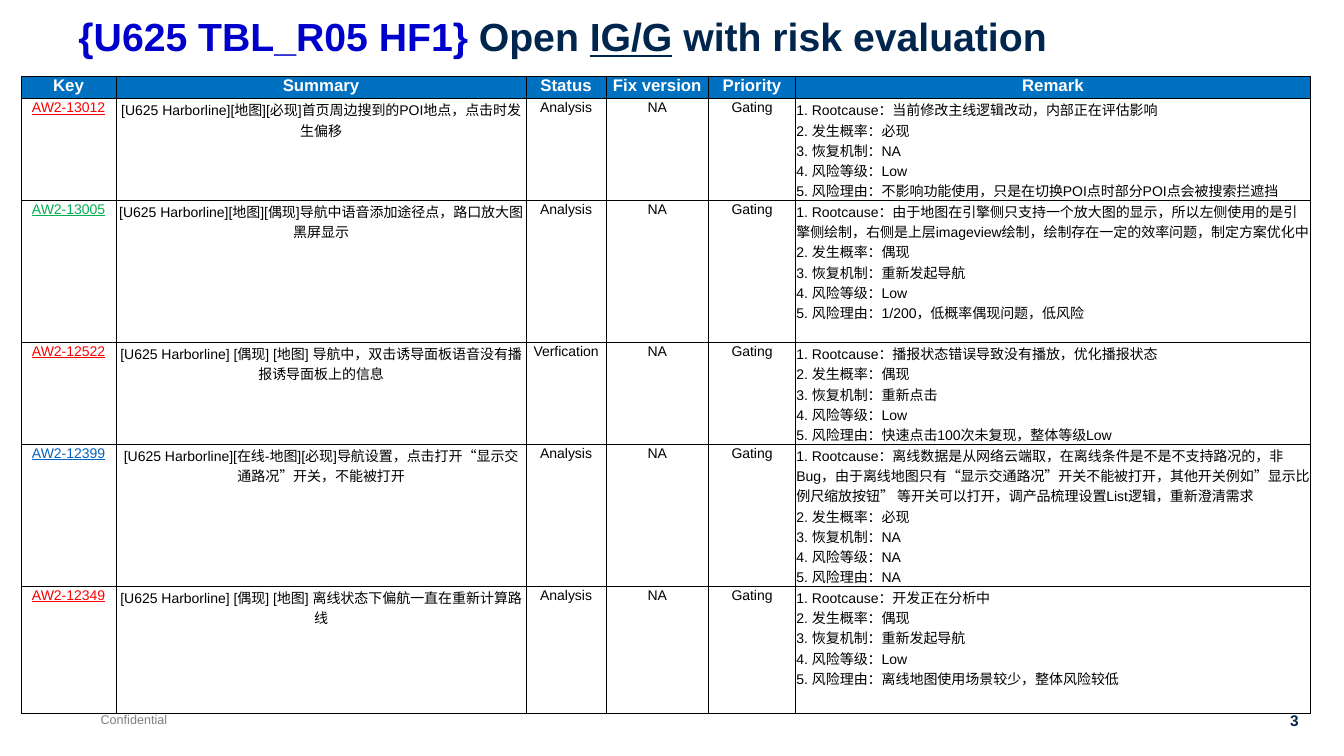
"""Build the open-issue risk evaluation slide."""
from lxml.etree import SubElement
from pptx import Presentation
from pptx.dml.color import RGBColor
from pptx.enum.text import MSO_ANCHOR, PP_ALIGN as Al
from pptx.oxml.ns import qn
from pptx.util import Inches, Pt

W, H = 13.33, 7.5
C = {"navy": "00264E", "blue": "0000CC", "head": "0070C0", "white": "FFFFFF",
     "black": "000000", "gray": "808080", "red": "FF0000", "green": "00B050",
     "link": "0563C1"}
TITLE = [("{U625 TBL_R05 HF1} ", {"color": "blue"}), ("Open ", {}),
         ("IG/G", {"underline": True}), (" with risk evaluation", {})]
HEADERS = ["Key", "Summary", "Status", "Fix version", "Priority", "Remark"]
COLS = [0.94, 4.07, 0.79, 1.02, 0.86, 5.11]
ROWS = [0.22, 1.01, 1.41, 1.01, 1.41, 1.26]
LABELS = ["Rootcause", "发生概率", "恢复机制", "风险等级", "风险理由"]
ISSUES = [
    ("AW2-13012", "red", "[U625 Harborline][地图][必现]首页周边搜到的POI地点，点击时发生偏移", "Analysis",
     ["当前修改主线逻辑改动，内部正在评估影响", "必现", "NA", "Low",
      "不影响功能使用，只是在切换POI点时部分POI点会被搜索拦遮挡"]),
    ("AW2-13005", "green", "[U625 Harborline][地图][偶现]导航中语音添加途径点，路口放大图黑屏显示", "Analysis",
     ["由于地图在引擎侧只支持一个放大图的显示，所以左侧使用的是引擎侧绘制，"
      "右侧是上层imageview绘制，绘制存在一定的效率问题，制定方案优化中",
      "偶现", "重新发起导航", "Low", "1/200，低概率偶现问题，低风险"]),
    ("AW2-12522", "red", "[U625 Harborline] [偶现] [地图] 导航中，双击诱导面板语音没有播报诱导面板上的信息",
     "Verfication",
     ["播报状态错误导致没有播放，优化播报状态", "偶现", "重新点击", "Low",
      "快速点击100次未复现，整体等级Low"]),
    ("AW2-12399", "link", "[U625 Harborline][在线-地图][必现]导航设置，点击打开“显示交通路况”开关，不能被打开",
     "Analysis",
     ["离线数据是从网络云端取，在离线条件是不是不支持路况的，非Bug，"
      "由于离线地图只有“显示交通路况”开关不能被打开，其他开关例如”显示比例尺缩放按钮” "
      "等开关可以打开，调产品梳理设置List逻辑，重新澄清需求",
      "必现", "NA", "NA", "NA"]),
    ("AW2-12349", "red", "[U625 Harborline] [偶现] [地图] 离线状态下偏航一直在重新计算路线", "Analysis",
     ["开发正在分析中", "偶现", "重新发起导航", "Low", "离线地图使用场景较少，整体风险较低"]),
]


def write(p, text, size=10, color="black", bold=False, underline=False, align=None):
    p.alignment = align
    r = p.add_run()
    r.text = text
    f = r.font
    f.name, f.size, f.bold, f.underline = "Arial", Pt(size), bold, underline
    f.color.rgb = RGBColor.from_string(C[color])


def text_box(s, x, y, w, h, wrap=False):
    tf = s.shapes.add_textbox(*map(Inches, (x, y, w, h))).text_frame
    tf.word_wrap = wrap
    return tf.paragraphs[0]


def style_cell(cell, inset, fill=None):
    cell.margin_left = cell.margin_right = cell.margin_top = Inches(inset)
    cell.margin_bottom = 0
    cell.vertical_anchor = MSO_ANCHOR.TOP
    pr = cell._tc.get_or_add_tcPr()
    for side in ("lnL", "lnR", "lnT", "lnB"):
        ln = SubElement(pr, qn(f"a:{side}"), w=str(Pt(0.5)))
        SubElement(SubElement(ln, qn("a:solidFill")), qn("a:srgbClr"), val=C["black"])
    if fill:
        cell.fill.solid()
        cell.fill.fore_color.rgb = RGBColor.from_string(C[fill])
    else:
        cell.fill.background()


def add_issues(s):
    t = s.shapes.add_table(len(ROWS), len(COLS), Inches(0.21), Inches(0.76),
                           Inches(sum(COLS)), Inches(sum(ROWS))).table
    t.horz_banding = False
    for col, w in zip(t.columns, COLS):
        col.width = Inches(w)
    for row, h in zip(t.rows, ROWS):
        row.height = Inches(h)
    for j, name in enumerate(HEADERS):
        style_cell(t.cell(0, j), 0, "head")
        write(t.cell(0, j).text_frame.paragraphs[0], name, size=12, color="white",
              bold=True, align=Al.CENTER)
    for i, (key, color, summary, status, remarks) in enumerate(ISSUES, 1):
        for j, text in enumerate([key, summary, status, "NA", "Gating"]):
            style_cell(t.cell(i, j), 0.01)
            write(t.cell(i, j).text_frame.paragraphs[0], text, align=Al.CENTER,
                  color="black" if j else color, underline=j == 0)
        style_cell(t.cell(i, 5), 0.01)
        tf = t.cell(i, 5).text_frame
        for n, (label, remark) in enumerate(zip(LABELS, remarks), 1):
            p = tf.paragraphs[0] if n == 1 else tf.add_paragraph()
            write(p, f"{n}. {label}：{remark}")


def main():
    prs = Presentation()
    prs.slide_width, prs.slide_height = Inches(W), Inches(H)
    s = prs.slides.add_slide(prs.slide_layouts[6])
    write(text_box(s, 0.9, 7.01, 0.87, 0.25), "Confidential", size=9, color="gray")
    write(text_box(s, 12.59, 7.01, 0.39, 0.29), "3", size=11, color="navy", bold=True,
          align=Al.RIGHT)
    p = text_box(s, 0.68, 0.13, 11.85, 0.63, wrap=True)
    p.line_spacing = 0.9
    for text, fmt in TITLE:
        write(p, text, **{"size": 28, "color": "navy", "bold": True, **fmt})
    add_issues(s)
    prs.save("out.pptx")


if __name__ == "__main__":
    main()
